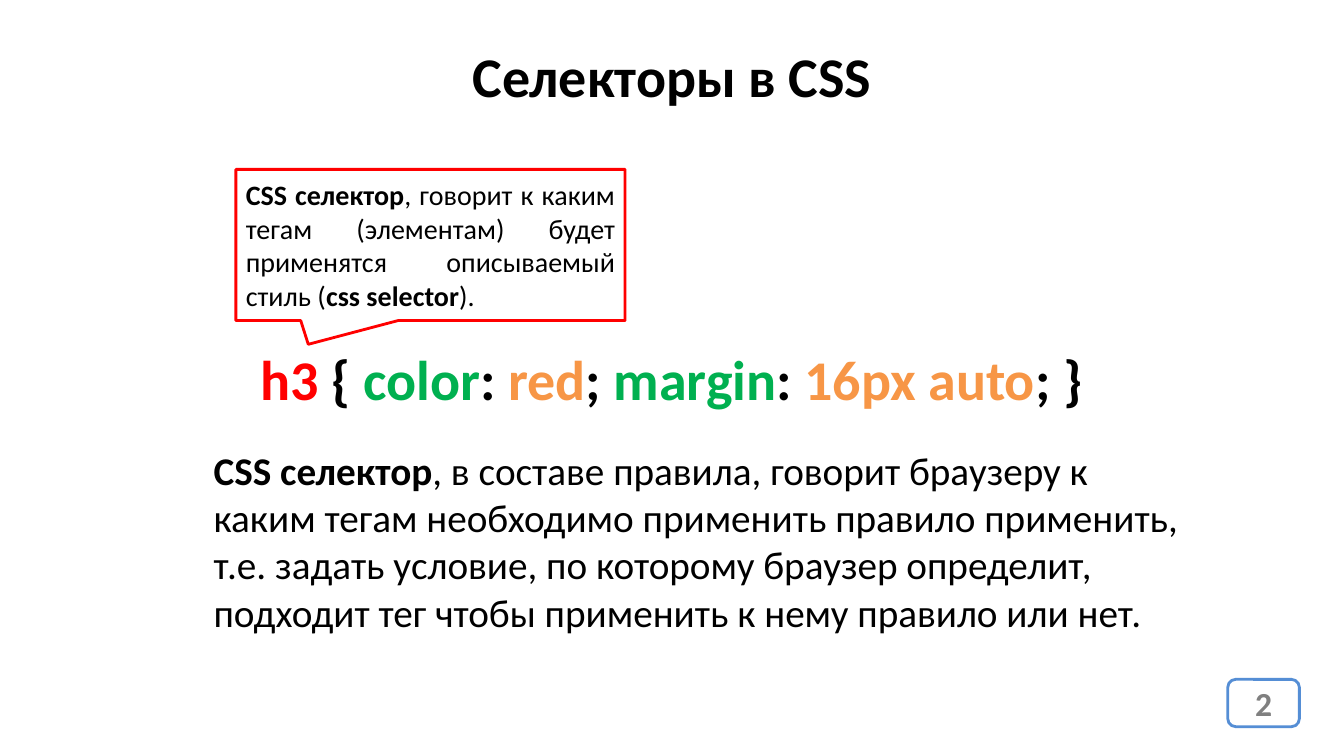
from lxml import etree
from pptx import Presentation
from pptx.dml.color import RGBColor
from pptx.enum.shapes import MSO_SHAPE
from pptx.enum.text import MSO_ANCHOR, MSO_AUTO_SIZE, PP_ALIGN
from pptx.oxml.ns import qn
from pptx.util import Pt

LEFT, CENTER, JUSTIFY = PP_ALIGN.LEFT, PP_ALIGN.CENTER, PP_ALIGN.JUSTIFY
TOP, MIDDLE = MSO_ANCHOR.TOP, MSO_ANCHOR.MIDDLE
ROUNDED, CALLOUT = MSO_SHAPE.ROUNDED_RECTANGLE, MSO_SHAPE.RECTANGULAR_CALLOUT
NO_AUTOFIT = MSO_AUTO_SIZE.NONE

BLACK, RED, GREEN, ORANGE = "000000", "FF0000", "00B050", "F79646"
GRAY, BLUE, WHITE = "808080", "558ED5", "FFFFFF"


def color(hex_value):
    return RGBColor.from_string(hex_value)


def write(shape, box, runs, size, alignment, anchor=TOP, wrap=True):
    """Place a shape and fill it with one paragraph of (text, bold, colour) runs."""
    for name, value in zip(("left", "top", "width", "height"), box):
        setattr(shape, name, Pt(value))
    frame_format = {"auto_size": NO_AUTOFIT, "word_wrap": wrap, "vertical_anchor": anchor}
    for name, value in frame_format.items():
        setattr(shape.text_frame, name, value)
    paragraph = shape.text_frame.paragraphs[0]
    paragraph.alignment = alignment
    paragraph.space_before = Pt(0)
    for text, bold, hex_value in runs:
        run = paragraph.add_run()
        run.text = text
        font_format = {"name": "Calibri", "size": Pt(size), "bold": bold}
        for name, value in font_format.items():
            setattr(run.font, name, value)
        run.font.color.rgb = color(hex_value)
    return paragraph


presentation = Presentation()
presentation.slide_width, presentation.slide_height = Pt(960), Pt(540)
slide = presentation.slides.add_slide(presentation.slide_layouts[1])
shapes = slide.shapes

# Title
write(shapes.title, (0, 26, 960, 55.4), [("Селекторы в CSS", True, BLACK)], 40, CENTER)

# Explanation, without a bullet
explanation = write(slide.placeholders[1], (145.4, 315.4, 708.5, 143.3), [
    ("CSS селектор", True, BLACK),
    (", в составе правила, говорит браузеру к каким тегам необходимо применить "
     "правило применить, т.е. задать условие, по которому браузер определит, "
     "подходит тег чтобы применить к нему правило или нет.", False, BLACK),
], 28, LEFT)
properties = explanation._p.get_or_add_pPr()
properties.set("marL", "0")
properties.set("indent", "0")
etree.SubElement(properties, qn("a:buNone"))

# CSS rule, coloured by part
rule_parts = [
    ("h3", RED), (" { ", BLACK), ("color", GREEN), (": ", BLACK), ("red", ORANGE),
    ("; ", BLACK), ("margin", GREEN), (": ", BLACK), ("16px auto", ORANGE), ("; }", BLACK),
]
rule_box = shapes.add_textbox(0, 0, 0, 0)
write(rule_box, (175.7, 242.6, 607.7, 55.4),
      [(text, True, hex_value) for text, hex_value in rule_parts], 40, CENTER, wrap=False)

# Page number badge and selector callout
framed_shapes = [
    (ROUNDED, (877, 485.3, 51.1, 33.8), BLUE, [("2", True, GRAY)], 24, CENTER),
    (CALLOUT, (168.5, 121, 278, 108), RED, [
        ("CSS селектор", True, BLACK),
        (", говорит к каким тегам (элементам) будет применятся описываемый стиль (",
         False, BLACK),
        ("css selector", True, BLACK),
        (").", False, BLACK),
    ], 20, JUSTIFY),
]
for kind, box, line_color, runs, size, alignment in framed_shapes:
    shape = shapes.add_shape(kind, 0, 0, 0, 0)
    write(shape, box, runs, size, alignment, MIDDLE)
    shape.shadow.inherit = False
    shape.line.color.rgb = color(line_color)
    shape.line.width = Pt(2)
    if kind == CALLOUT:
        shape.fill.background()
        shape.adjustments[0], shape.adjustments[1] = -0.314, 0.657
    else:
        shape.fill.solid()
        shape.fill.fore_color.rgb = color(WHITE)

presentation.save("out.pptx")
